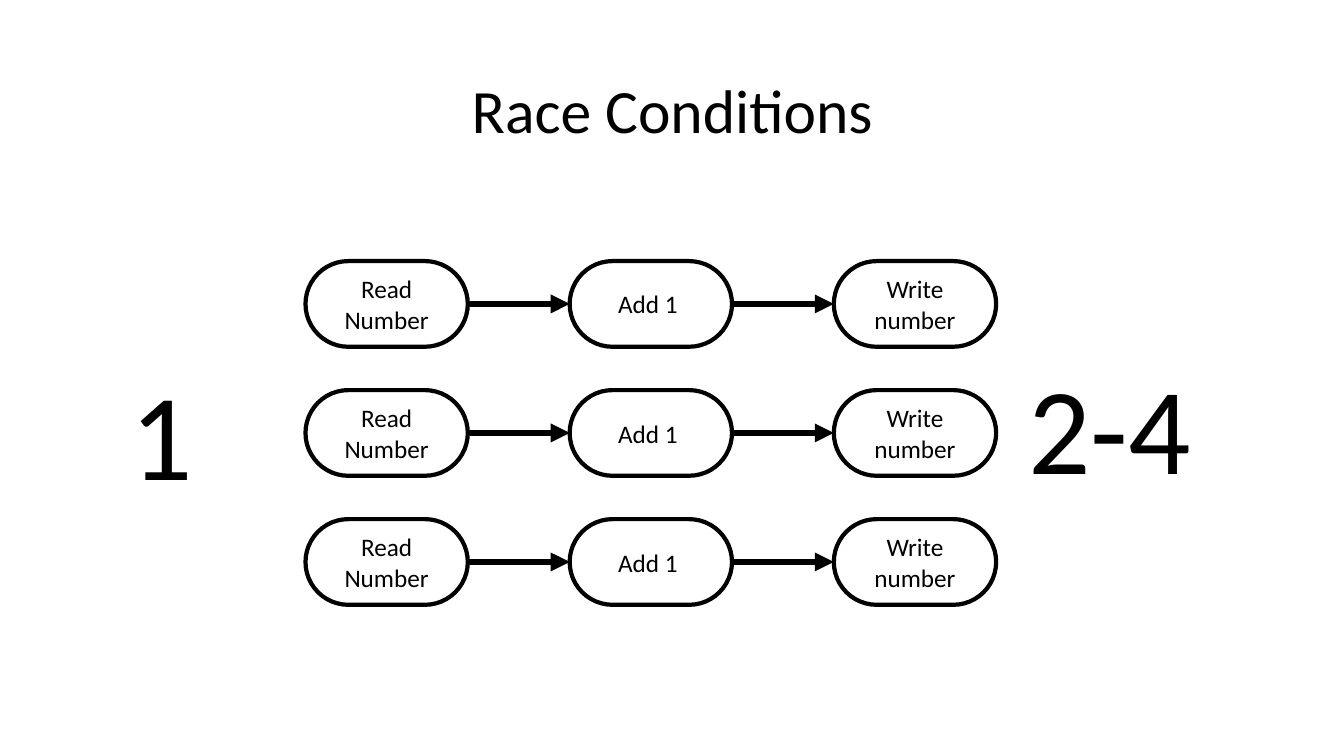
from lxml import etree
from pptx import Presentation
from pptx import util as u
from pptx.dml.color import RGBColor
from pptx.enum import shapes, text
from pptx.oxml.ns import qn

COLORS = {"ink": "000000", "paper": "FFFFFF"}
FONT = "Calibri"
STEPS = ["Read Number", "Add 1 ", "Write number"]
THREADS = 3
STEP_WIDTH, STEP_HEIGHT = 1.61, 0.85
COLUMN_PITCH, ROW_PITCH = 2.62, 1.28


def color(name):
    return RGBColor.from_string(COLORS[name])


def place(box):
    return [u.Inches(length) for length in box]


def write(frame, words, size, align):
    frame.word_wrap = True
    frame.text = words
    para = frame.paragraphs[0]
    para.alignment = align
    para.font.name = FONT
    para.font.size = u.Pt(size)
    para.font.color.rgb = color("ink")
    return para


def add_title(page, box, words):
    title = page.shapes.title
    title.left, title.top, title.width, title.height = place(box)
    title.text_frame.vertical_anchor = text.MSO_ANCHOR.MIDDLE
    para = write(title.text_frame, words, 44, text.PP_ALIGN.CENTER)
    para.line_spacing = 0.9


def add_step(page, box, words):
    step = page.shapes.add_shape(shapes.MSO_SHAPE.ROUNDED_RECTANGLE, *place(box))
    step.adjustments[0] = 0.5
    step.shadow.inherit = False
    step.fill.background()
    step.line.color.rgb = color("ink")
    step.line.width = u.Pt(3)
    step.text_frame.vertical_anchor = text.MSO_ANCHOR.MIDDLE
    write(step.text_frame, words, 18, text.PP_ALIGN.CENTER)
    return step


def add_arrow(page, start, end):
    arrow = page.shapes.add_connector(shapes.MSO_CONNECTOR.STRAIGHT, 0, 0, 0, 0)
    arrow.begin_connect(start, 3)
    arrow.end_connect(end, 1)
    arrow.line.color.rgb = color("ink")
    arrow.line.width = u.Pt(4.5)
    # Arrowhead, and no theme shadow
    etree.SubElement(arrow.line._get_or_add_ln(), qn("a:tailEnd"), type="triangle")
    etree.SubElement(arrow._element.spPr, qn("a:effectLst"))


def add_threads(page, left, top):
    for row in range(THREADS):
        steps = [
            add_step(page, (left + column * COLUMN_PITCH, top + row * ROW_PITCH,
                            STEP_WIDTH, STEP_HEIGHT), words)
            for column, words in enumerate(STEPS)
        ]
        for start, end in zip(steps, steps[1:]):
            add_arrow(page, start, end)


def add_value(page, box, words):
    value = page.shapes.add_textbox(*place(box))
    write(value.text_frame, words, 88, text.PP_ALIGN.LEFT)


def main():
    deck = Presentation()
    deck.slide_width, deck.slide_height = u.Inches(13.33), u.Inches(7.5)
    page = deck.slides.add_slide(deck.slide_layouts[5])
    page.background.fill.solid()
    page.background.fill.fore_color.rgb = color("paper")

    add_title(page, (0.92, 0.4, 11.5, 1.45), "Race Conditions")

    # Parallel threads, one per row
    add_threads(page, 3.03, 2.59)

    # Number before and after
    add_value(page, (1.2, 3.5, 1.33, 1.57), "1")
    add_value(page, (10.1, 3.44, 2.4, 1.57), "2-4")

    deck.save("out.pptx")


if __name__ == "__main__":
    main()
